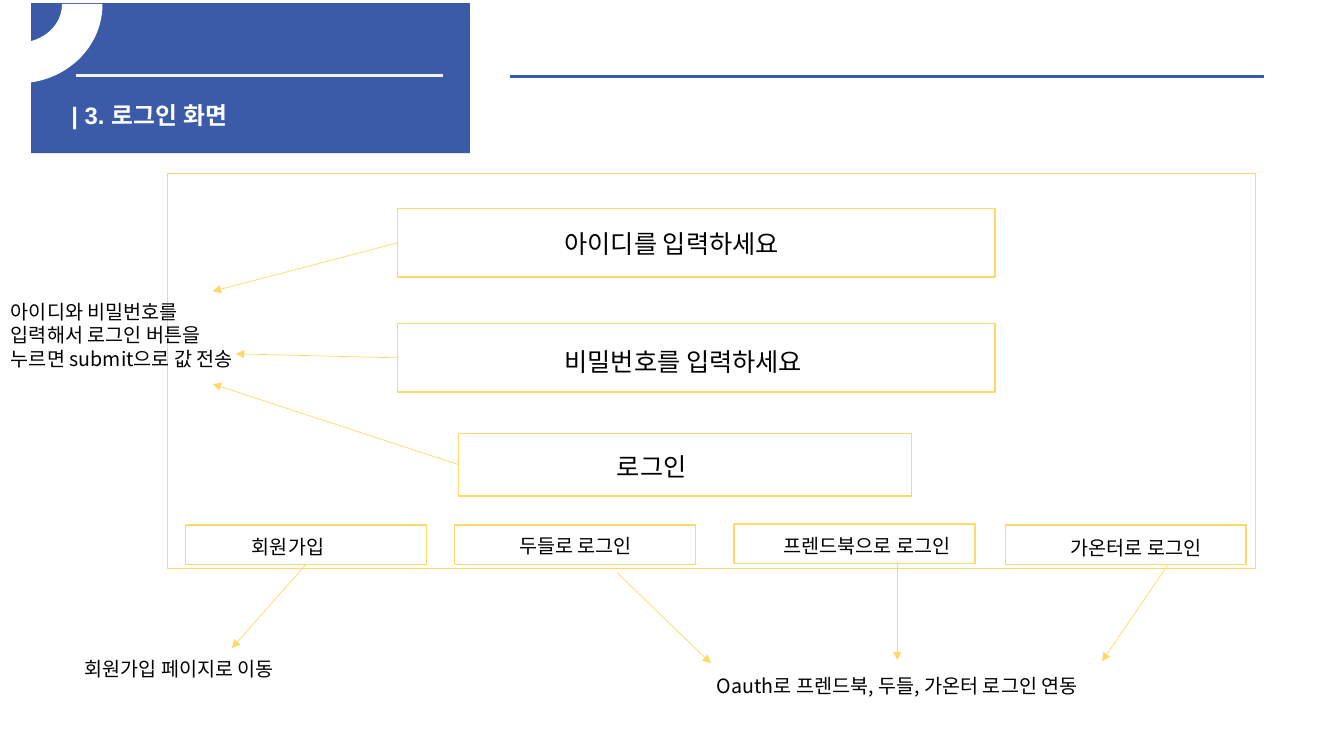
from lxml.etree import SubElement
from pptx import Presentation
from pptx.dml.color import RGBColor
from pptx.enum.shapes import MSO_CONNECTOR as LINE, MSO_SHAPE as SHAPE
from pptx.enum.text import MSO_ANCHOR as ANCHOR
from pptx.oxml.ns import qn
from pptx.util import Inches, Pt

BLUE = RGBColor(0x3B, 0x5A, 0xA8)
WHITE = RGBColor(0xFF, 0xFF, 0xFF)
PALE = RGBColor(0xF2, 0xF2, 0xF2)
YELLOW = RGBColor(0xFF, 0xD9, 0x66)
BLACK = RGBColor(0, 0, 0)
KOREAN = "Noto Sans CJK KR"

deck = Presentation()
deck.slide_width, deck.slide_height = Inches(13.33), Inches(7.5)
page = deck.slides.add_slide(deck.slide_layouts[6])


def add_text(text, left, top, width, height, size, font=KOREAN, color=BLACK, bold=False):
    box = page.shapes.add_textbox(Inches(left), Inches(top), Inches(width), Inches(height))
    box.text_frame.word_wrap = True
    box.text_frame.vertical_anchor = ANCHOR.MIDDLE
    para = box.text_frame.paragraphs[0]
    para.text = text
    para.font.size, para.font.bold = Pt(size), bold
    para.font.name, para.font.color.rgb = font, color
    span = para.runs[0]
    span.font.name = font
    SubElement(span.font._element, qn("a:ea"), typeface=font)


def add_line(start, end, color, width):
    line = page.shapes.add_connector(LINE.STRAIGHT, *map(Inches, start + end))
    line.line.color.rgb, line.line.width = color, Pt(width)
    SubElement(line._element.spPr, qn("a:effectLst"))
    return line


banner = page.shapes.add_shape(SHAPE.RECTANGLE, Inches(0.31), Inches(0.03), Inches(4.35), Inches(1.49))
banner.shadow.inherit = False
banner.fill.solid()
banner.fill.fore_color.rgb = BLUE
banner.line.fill.background()
add_line((0.75, 0.75), (4.39, 0.75), PALE, 2.25)
add_line((5.06, 0.76), (12.54, 0.76), BLUE, 2.25)
add_text("| 3. 로그인 화면", 0.61, 0.95, 2.83, 0.39, 17, "Arial", WHITE, True)

ring = page.shapes.add_shape(SHAPE.BLOCK_ARC, Inches(-0.65), Inches(-0.73), Inches(1.66), Inches(1.55))
ring.adjustments[0], ring.adjustments[1], ring.adjustments[2] = 96.95, 0, 0.25
ring._element.spPr.find(qn("a:xfrm")).set("flipV", "1")
ring.shadow.inherit = False
ring.fill.solid()
ring.fill.fore_color.rgb = WHITE
ring.line.color.rgb, ring.line.width = WHITE, Pt(1)

frames = {}
for name, left, top, width, height in [
    ("screen", 1.66, 1.72, 10.79, 3.92),
    ("login", 4.55, 4.3, 4.49, 0.62),
    ("id", 3.94, 2.07, 5.93, 0.68),
    ("password", 3.94, 3.21, 5.93, 0.68),
    ("join", 1.84, 5.21, 2.39, 0.39),
    ("search", 4.51, 5.21, 2.39, 0.39),
    ("social", 7.28, 5.2, 2.39, 0.39),
    ("portal", 9.97, 5.21, 2.39, 0.39),
]:
    frame = page.shapes.add_shape(SHAPE.RECTANGLE, Inches(left), Inches(top), Inches(width), Inches(height))
    frame.shadow.inherit = False
    frame.fill.solid()
    frame.fill.fore_color.rgb = WHITE
    frame.line.color.rgb, frame.line.width = YELLOW, Pt(1)
    frames[name] = frame

for text, left, top, width in [
    ("아이디를 입력하세요", 5.5, 2.22, 5.05),
    ("비밀번호를 입력하세요", 5.5, 3.39, 5.05),
    ("로그인", 6.02, 4.43, 5.05),
]:
    add_text(text, left, top, width, 0.4, 18)

for text, left, top, width, height in [
    ("회원가입", 2.4, 5.25, 1.58, 0.34),
    ("두들로 로그인", 5.05, 5.24, 5.05, 0.34),
    ("프렌드북으로 로그인", 7.67, 5.24, 3.61, 0.34),
    ("가온터로 로그인", 10.52, 5.26, 1.82, 0.34),
    ("아이디와 비밀번호를 입력해서 로그인 버튼을 누르면 submit으로 값 전송", 0.01, 2.92, 2.55, 0.81),
    ("회원가입 페이지로 이동", 0.74, 6.46, 3.45, 0.34),
    ("Oauth로 프렌드북, 두들, 가온터 로그인 연동", 7.01, 6.63, 5.65, 0.34),
]:
    add_text(text, left, top, width, height, 14)

for start, end, source, side in [
    ((3.94, 2.41), (2.11, 2.89), "id", 1),
    ((3.94, 3.55), (2.34, 3.51), "password", 1),
    ((4.55, 4.61), (2.11, 3.81), "login", 1),
    ((3.04, 5.6), (2.3, 6.43), "join", 2),
    ((6.12, 5.68), (7.05, 6.58), None, None),
    ((8.9, 5.58), (8.9, 6.55), None, None),
    ((11.58, 5.61), (10.93, 6.56), None, None),
]:
    arrow = add_line(start, end, YELLOW, 0.5)
    SubElement(arrow.line._get_or_add_ln(), qn("a:tailEnd"), type="triangle")
    if source:
        arrow.begin_connect(frames[source], side)

deck.save("out.pptx")
